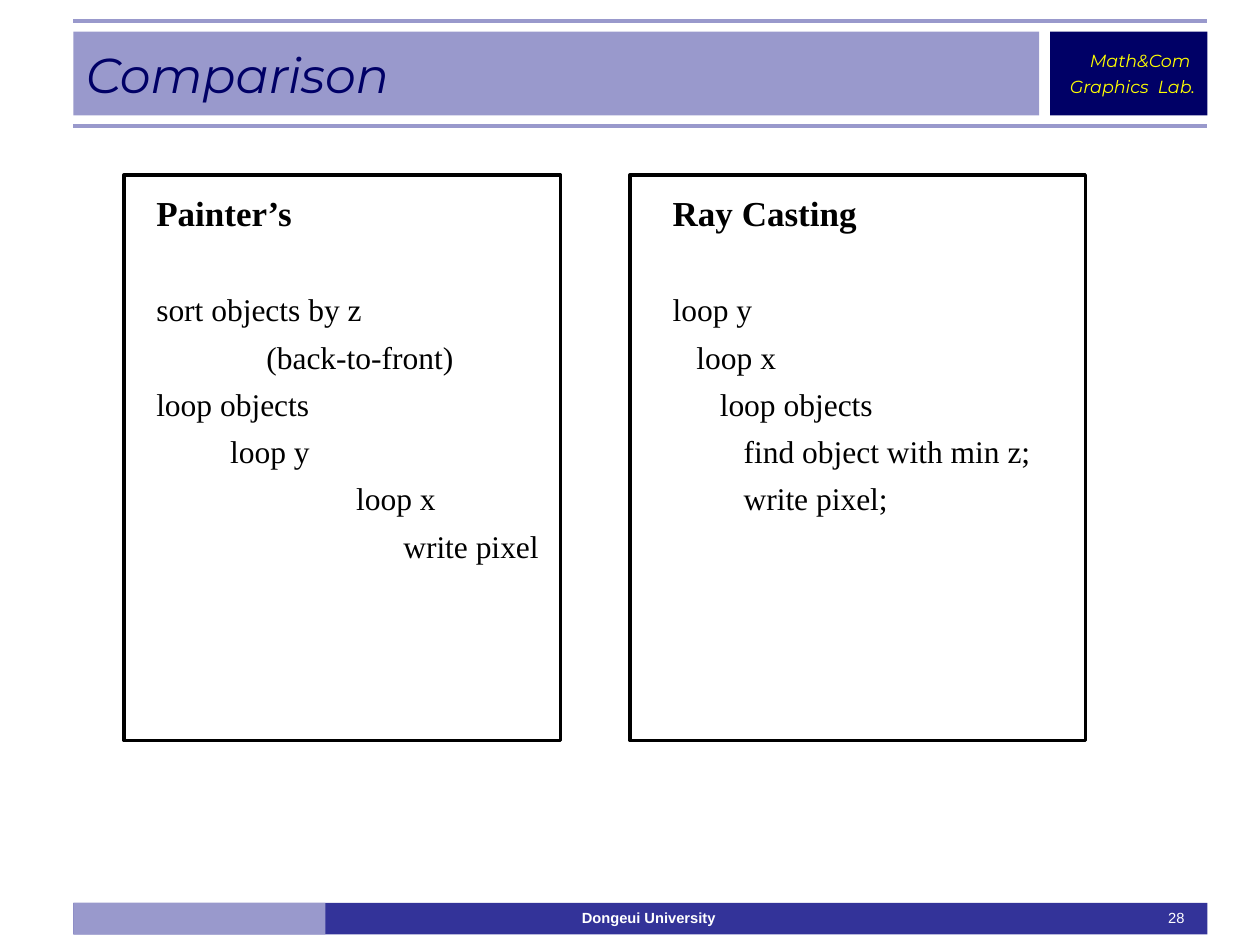
import pptx
import pptx.dml.color
import pptx.enum.shapes
import pptx.enum.text
import pptx.oxml
import pptx.util
from pptx.util import Cm

NAVY, INDIGO, LAVENDER = "000066", "333399", "9999CC"
BLACK, WHITE, YELLOW = "000000", "FFFFFF", "FFFF00"
ALIGN = pptx.enum.text.PP_ALIGN
ANCHOR = pptx.enum.text.MSO_ANCHOR

# Shared edges of the page frame, in centimetres
LEFT, WIDTH = 1.48, 22.86
BANNER_TOP, BANNER_HEIGHT, TITLE_WIDTH = 0.64, 1.69, 19.47
FOOTER_TOP, FOOTER_HEIGHT = 18.2, 0.64

# Each algorithm: heading, text box left and width, frame left and width,
# then its steps with their indents
ALGORITHMS = [
    ("Painter’s", 2.9, 8.81, 2.5, 8.8, [
        ("sort objects by z", 0),
        ("(back-to-front)", 2.22),
        ("loop objects", 0),
        ("loop y", 1.49),
        ("loop x", 4.03),
        ("write pixel", 4.98),
    ]),
    ("Ray Casting", 13.31, 10.58, 12.7, 9.18, [
        ("loop y", 0),
        ("loop x", 0.48),
        ("loop objects", 0.95),
        ("find object with min z;", 1.43),
        ("write pixel;", 1.43),
    ]),
]


def color(value):
    return pptx.dml.color.RGBColor.from_string(value)


def place(shape, left, top, width, height):
    shape.left, shape.top = Cm(left), Cm(top)
    shape.width, shape.height = Cm(width), Cm(height)


def set_frame(shape, anchor, wrap=True):
    frame = shape.text_frame
    frame.auto_size = pptx.enum.text.MSO_AUTO_SIZE.NONE
    frame.word_wrap = wrap
    frame.vertical_anchor = anchor
    frame.margin_left = frame.margin_right = Cm(0.25)
    frame.margin_top = frame.margin_bottom = Cm(0.13)
    return frame


def set_paragraph(para, text, font, size, ink, align=ALIGN.LEFT,
                  bold=False, italic=False, before=0):
    para.text = text
    para.alignment = align
    para.space_before = pptx.util.Pt(before)
    para.font.name = font
    para.font.size = pptx.util.Pt(size)
    para.font.bold, para.font.italic = bold, italic
    para.font.color.rgb = color(ink)


def add_rectangle(page, left, top, width, height, fill=None, line=None):
    box = page.shapes.add_shape(pptx.enum.shapes.MSO_SHAPE.RECTANGLE,
                                Cm(left), Cm(top), Cm(width), Cm(height))
    box.shadow.inherit = False
    if fill:
        box.fill.solid()
        box.fill.fore_color.rgb = color(fill)
    else:
        box.fill.background()
    if line:
        box.line.color.rgb = color(line)
        box.line.width = pptx.util.Pt(2)
    else:
        box.line.fill.background()
    return box


def add_rule(page, top):
    rule = page.shapes.add_connector(
        pptx.enum.shapes.MSO_CONNECTOR.STRAIGHT,
        Cm(LEFT), Cm(top), Cm(LEFT + WIDTH), Cm(top))
    rule.line.color.rgb = color(LAVENDER)
    rule.line.width = pptx.util.Pt(2.25)
    properties = rule.line._get_or_add_ln().getparent()
    pptx.oxml.ns  # namespace helpers used below
    properties.append(pptx.oxml.xmlchemy.OxmlElement("a:effectLst"))


def add_footer_text(page, text, left, width, align, bold=False):
    box = page.shapes.add_textbox(Cm(left), Cm(FOOTER_TOP),
                                  Cm(width), Cm(FOOTER_HEIGHT))
    frame = set_frame(box, ANCHOR.TOP)
    set_paragraph(frame.paragraphs[0], text, "Arial", 8.4, WHITE, align, bold)


def bring_to_front(shape):
    element = shape.element
    element.getparent().append(element)


def fill_title(page, text):
    title = page.shapes.title
    place(title, LEFT, BANNER_TOP, TITLE_WIDTH, BANNER_HEIGHT)
    frame = set_frame(title, ANCHOR.MIDDLE)
    set_paragraph(frame.paragraphs[0], text, "Montserrat", 28, NAVY,
                  italic=True)
    bring_to_front(title)


def set_indent(para, indent):
    """Indent a whole paragraph and switch its bullet off."""
    properties = para._p.get_or_add_pPr()
    properties.set("marL", str(Cm(indent)))
    properties.set("indent", "0")
    properties.append(pptx.oxml.xmlchemy.OxmlElement("a:buNone"))


def fill_algorithm(body, heading, left, width, steps):
    place(body, left, 3.73, width, 11.43)
    frame = set_frame(body, ANCHOR.TOP)
    para = frame.paragraphs[0]
    set_paragraph(para, heading, "Times New Roman", 20, BLACK,
                  bold=True, before=5)
    set_indent(para, 0)
    for number, (text, indent) in enumerate(steps):
        para = frame.add_paragraph()
        # The first step stands one line clear of the heading
        set_paragraph(para, text, "Times New Roman", 18, BLACK,
                      before=5.4 if number else 32.5)
        set_indent(para, indent)
    bring_to_front(body)


def add_page_frame(page):
    # Footer bar
    add_rectangle(page, LEFT, FOOTER_TOP, WIDTH, FOOTER_HEIGHT, INDIGO)
    add_rectangle(page, LEFT, FOOTER_TOP, 5.08, FOOTER_HEIGHT, LAVENDER)

    # Lab badge and title banner
    badge = add_rectangle(page, 21.17, BANNER_TOP, 3.17, BANNER_HEIGHT, NAVY)
    frame = set_frame(badge, ANCHOR.MIDDLE, wrap=False)
    for para, text in ((frame.paragraphs[0], "Math&Com "),
                       (frame.add_paragraph(), "Graphics  Lab.")):
        set_paragraph(para, text, "Montserrat", 10, YELLOW, ALIGN.RIGHT,
                      italic=True, before=2.5)
    add_rectangle(page, LEFT, BANNER_TOP, TITLE_WIDTH, BANNER_HEIGHT, LAVENDER)

    # Rules above and below the banner
    for top in (0.42, 2.54):
        add_rule(page, top)

    # Footer wording
    add_footer_text(page, "Dongeui University ", 6.56, 13.12,
                    ALIGN.CENTER, bold=True)
    add_footer_text(page, "28", 20.11, 4.02, ALIGN.RIGHT)


def main():
    deck = pptx.Presentation()
    deck.slide_width, deck.slide_height = Cm(25.4), Cm(19.05)
    page = deck.slides.add_slide(deck.slide_layouts.get_by_name("Two Content"))
    bodies = list(page.placeholders)[1:]

    add_page_frame(page)
    fill_title(page, "Comparison")

    # One framed listing per algorithm
    for body, algorithm in zip(bodies, ALGORITHMS):
        heading, left, width, frame_left, frame_width, steps = algorithm
        fill_algorithm(body, heading, left, width, steps)
        add_rectangle(page, frame_left, 3.53, frame_width, 11.4, line=BLACK)

    deck.save("out.pptx")


if __name__ == "__main__":
    main()
